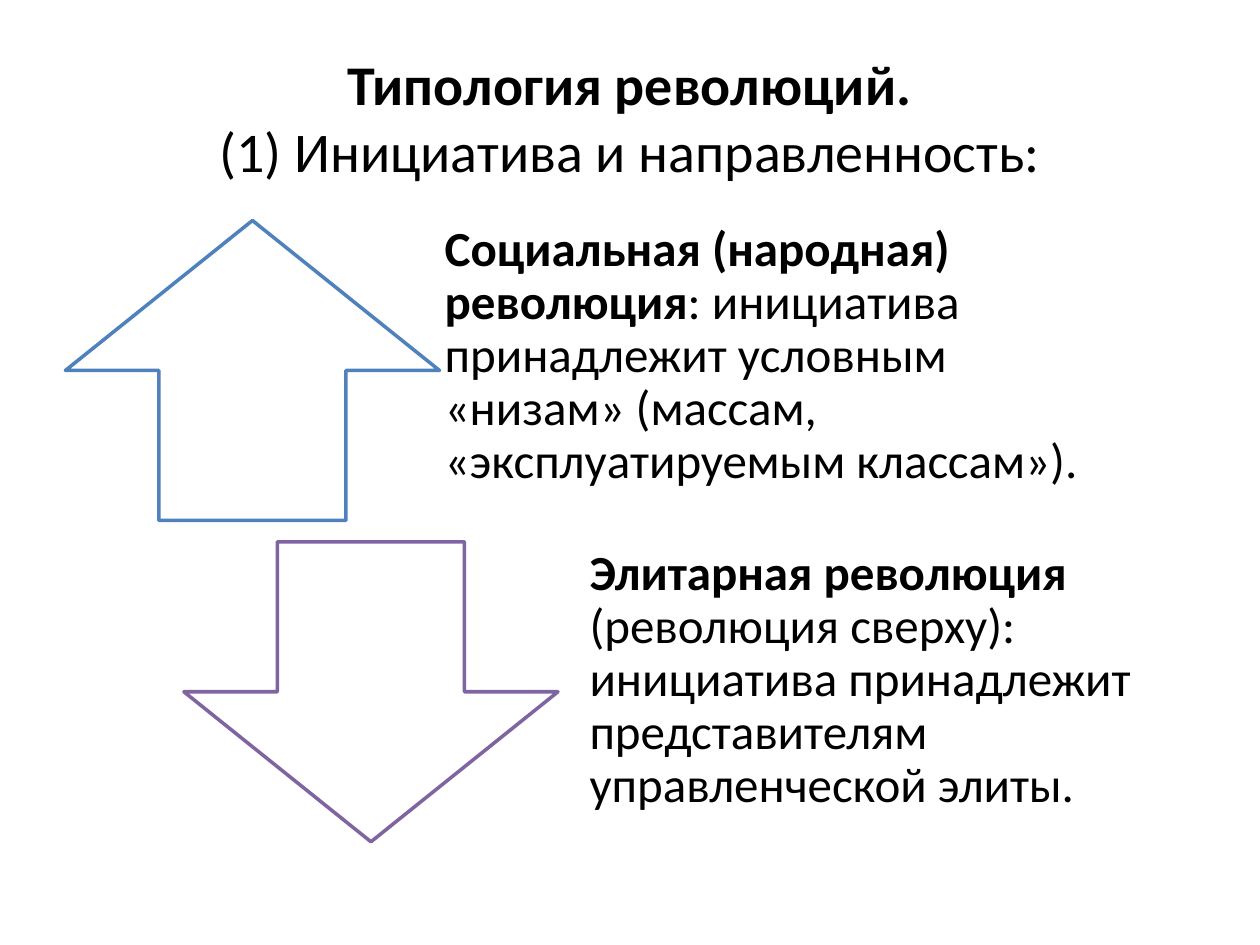
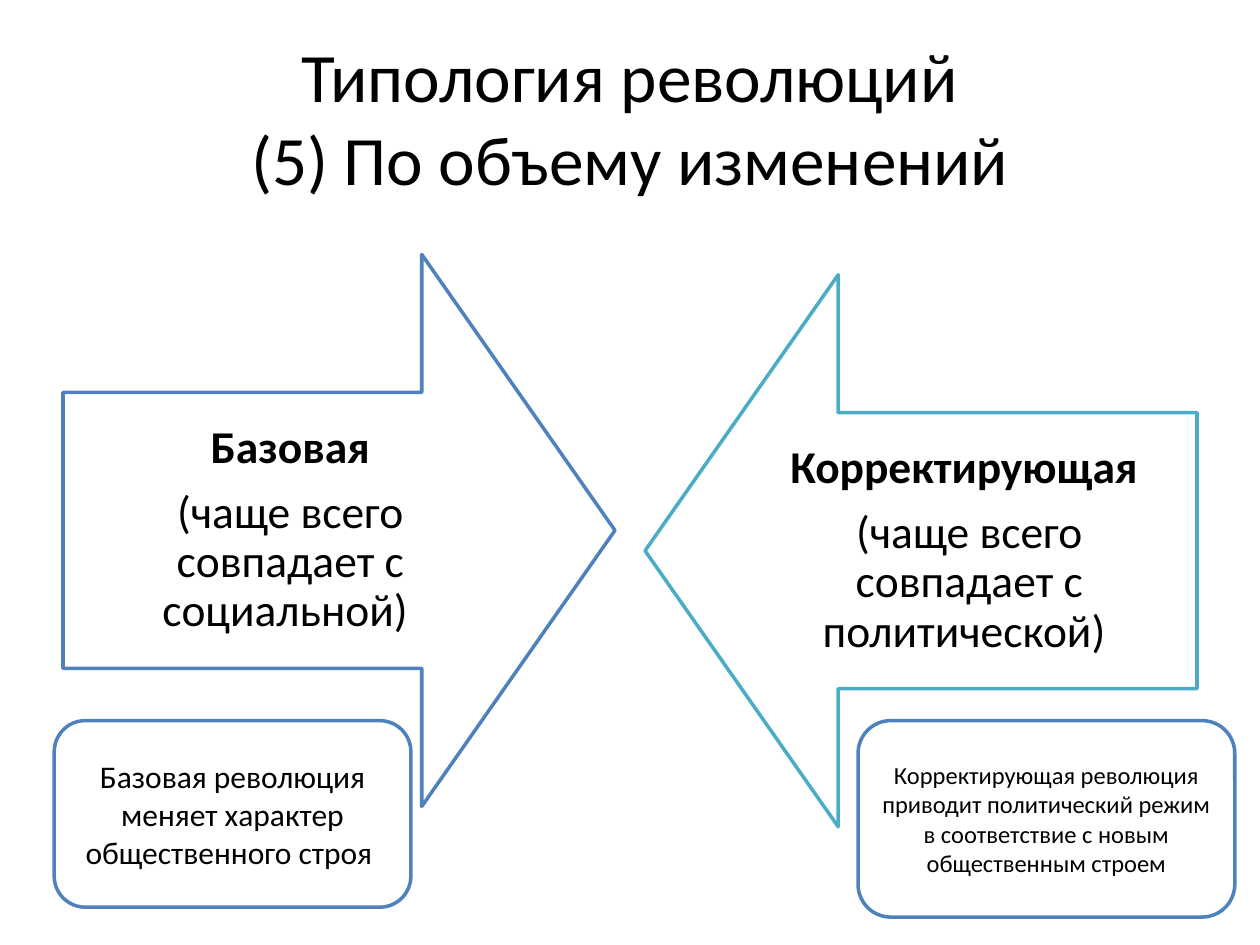
from pptx import Presentation
from pptx.dml.color import RGBColor
from pptx.enum.shapes import MSO_SHAPE
from pptx.enum.text import MSO_ANCHOR, MSO_AUTO_SIZE, PP_ALIGN
from pptx.util import Pt

HUES = {"ink": "000000", "paper": "FFFFFF", "blue": "4F81BD",
        "violet": "8064A2", "teal": "4BACC6"}
FONT = "Calibri"

# Text is a list of paragraphs; a paragraph is a list of (words, bold) runs.
SOURCE = {
    "title": [[("Типология революций.\n", True),
               ("(1) Инициатива и направленность:", False)]],
    "size": 32,
    "arrows": [
        (MSO_SHAPE.UP_ARROW, "blue", (37.4, 126), (238.3, 126, 399.6),
         [[("Социальная (народная) революция", True),
           (": инициатива принадлежит условным «низам» "
            "(массам, «эксплуатируемым классам»).", False)]]),
        (MSO_SHAPE.DOWN_ARROW, "violet", (105.1, 309.6), (321.1, 311, 362.9),
         [[("Элитарная революция ", True),
           ("(революция сверху): инициатива принадлежит "
            "представителям управленческой элиты.", False)]]),
    ],
}
SCOPE = {
    "title": [[("Типология революций\n(5) По объему изменений", False)]],
    "size": 39.6,
    "arrows": [
        (MSO_SHAPE.RIGHT_ARROW, "blue", (36, 145.4), 0,
         [[("Базовая", True)],
          [("(чаще всего совпадает с социальной) ", False)]]),
        (MSO_SHAPE.LEFT_ARROW, "teal", (368.6, 157), 55.4,
         [[("Корректирующая ", True)],
          [("(чаще всего совпадает с политической) ", False)]]),
    ],
    "notes": [
        ((31, 411.8, 203.8, 106.6), 18,
         "Базовая революция меняет характер общественного строя "),
        ((490.3, 411.8, 215.3, 112.3), 14,
         "Корректирующая революция приводит политический режим "
         "в соответствие с новым общественным строем"),
    ],
}
TITLE = (36, 21.6, 648, 90)
ARROW = (213.8, 171.4)
SIDE = 315.4          # square frame of a sideways arrow
LABEL = (260, 157.7)  # text area on its shaft


def hue(name):
    return RGBColor.from_string(HUES[name])


def write(shape, text, size=18, align=PP_ALIGN.CENTER, pad=None, tight=False):
    frame = shape.text_frame
    frame.word_wrap = True
    frame.auto_size = MSO_AUTO_SIZE.NONE
    frame.vertical_anchor = MSO_ANCHOR.MIDDLE
    if pad:
        (frame.margin_left, frame.margin_top,
         frame.margin_right, frame.margin_bottom) = map(Pt, pad)
    for i, runs in enumerate(text):
        para = frame.add_paragraph() if i else frame.paragraphs[0]
        para.alignment = align
        if tight:
            para.line_spacing = 0.9
            para.space_after = Pt(round(size * 0.35, 1))
        for words, bold in runs:
            for j, line in enumerate(words.split("\n")):
                if j:
                    para.add_line_break()
                if line:
                    run = para.add_run()
                    run.text = line
                    font = run.font
                    font.name, font.size, font.bold = FONT, Pt(size), bold
                    font.color.rgb = hue("ink")


def outline(slide, kind, box, color):
    shape = slide.shapes.add_shape(kind, *map(Pt, box))
    shape.shadow.inherit = False
    shape.fill.solid()
    shape.fill.fore_color.rgb = hue("paper")
    shape.line.color.rgb = hue(color)
    shape.line.width = Pt(2)
    return shape


def label(slide, box, text, **form):
    write(slide.shapes.add_textbox(*map(Pt, box)), text, tight=True, **form)


def start(deck, page):
    """Add a slide with its title."""
    slide = deck.slides.add_slide(deck.slide_layouts[5])
    title = slide.shapes.title
    title.left, title.top, title.width, title.height = map(Pt, TITLE)
    write(title, page["title"], size=page["size"])
    return slide


def draw_source(deck):
    slide = start(deck, SOURCE)
    for kind, color, spot, (left, top, width), text in SOURCE["arrows"]:
        outline(slide, kind, spot + ARROW, color)
        label(slide, (left, top, width, ARROW[1]), text, size=28,
              align=PP_ALIGN.LEFT, pad=(15.8, 0, 15.8, 15.8))


def draw_scope(deck):
    slide = start(deck, SCOPE)
    for kind, color, (left, top), shift, text in SCOPE["arrows"]:
        arrow = outline(slide, kind, (left, top, SIDE, SIDE), color)
        arrow.adjustments[0], arrow.adjustments[1] = 0.5, 0.35
        label(slide, (left + shift, top + (SIDE - LABEL[1]) / 2, *LABEL),
              text, size=26, pad=(14.4,) * 4)
    for box, size, words in SCOPE["notes"]:
        note = outline(slide, MSO_SHAPE.ROUNDED_RECTANGLE, box, "blue")
        write(note, [[(words, False)]], size=size)


def main():
    deck = Presentation()
    deck.slide_width, deck.slide_height = Pt(720), Pt(540)
    draw_source(deck)
    draw_scope(deck)
    deck.save("out.pptx")


if __name__ == "__main__":
    main()
